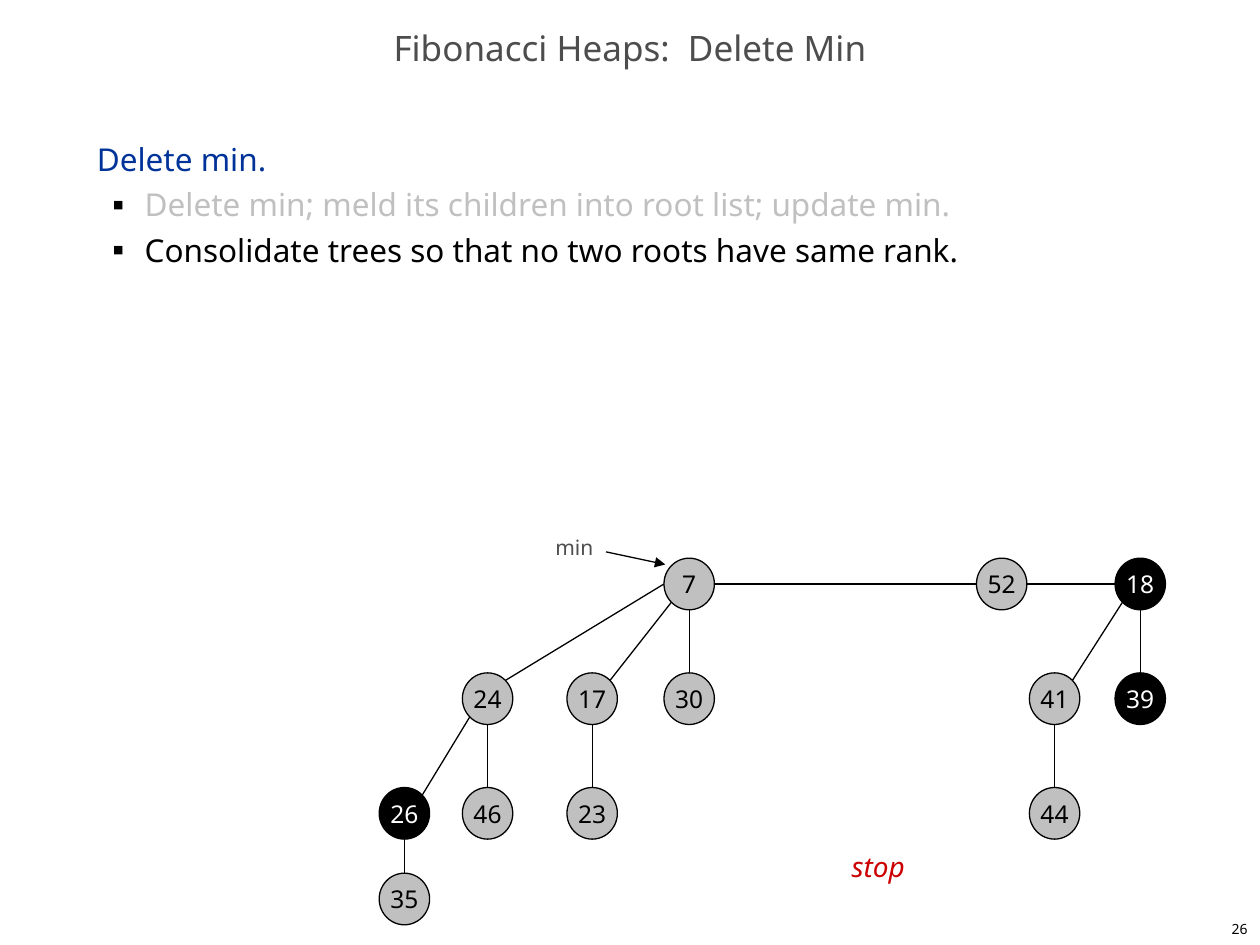
from dataclasses import dataclass
from math import sqrt

from lxml import etree
from pptx import Presentation
from pptx.dml.color import RGBColor
from pptx.enum.shapes import MSO_CONNECTOR, MSO_SHAPE
from pptx.enum.text import MSO_ANCHOR, MSO_AUTO_SIZE, PP_ALIGN
from pptx.oxml.ns import qn
from pptx.util import Inches, Pt

LEFT, CENTER, RIGHT = PP_ALIGN.LEFT, PP_ALIGN.CENTER, PP_ALIGN.RIGHT
TOP, MIDDLE = MSO_ANCHOR.TOP, MSO_ANCHOR.MIDDLE
STRAIGHT, OVAL = MSO_CONNECTOR.STRAIGHT, MSO_SHAPE.OVAL
NO_FIT = MSO_AUTO_SIZE.NONE

BLACK = RGBColor(0x00, 0x00, 0x00)
WHITE = RGBColor(0xFF, 0xFF, 0xFF)
GRAY = RGBColor(0xC0, 0xC0, 0xC0)
DARK = RGBColor(0x4D, 0x4D, 0x4D)
BLUE = RGBColor(0x00, 0x33, 0x99)
RED = RGBColor(0xCC, 0x00, 0x00)
MARK = RGBColor(0x01, 0x00, 0x00)

FONT = "Noto Sans"
WIDE, HIGH = 0.4, 0.41
ROWS = (4.43, 5.34, 6.25, 6.93)
DIAG = sqrt(0.5)

# Points on a node's rim, as offsets from its centre in radii
SITES = {
    "top": (0, -1),
    "left": (-1, 0),
    "bottom": (0, 1),
    "right": (1, 0),
    "top right": (DIAG, -DIAG),
    "bottom left": (-DIAG, DIAG),
}


@dataclass(frozen=True)
class Node:
    key: int
    left: float
    row: int
    marked: bool = False

    def site(self, name: str) -> tuple[float, float]:
        dx, dy = SITES[name]
        return (self.left + WIDE / 2 * (1 + dx),
                ROWS[self.row] + HIGH / 2 * (1 + dy))


@dataclass(frozen=True)
class Edge:
    start: int
    end: int
    leave: str = "bottom"
    enter: str = "top"


NODES = [
    Node(7, 5.27, 0), Node(52, 7.75, 0), Node(18, 8.85, 0, True),
    Node(24, 3.67, 1), Node(17, 4.5, 1), Node(30, 5.27, 1),
    Node(41, 8.17, 1), Node(39, 8.85, 1, True),
    Node(26, 3.01, 2, True), Node(46, 3.67, 2), Node(23, 4.5, 2),
    Node(44, 8.17, 2), Node(35, 3.01, 3),
]
EDGES = [
    Edge(7, 52, "right", "left"), Edge(52, 18, "right", "left"),
    Edge(7, 24, "left", "top right"),
    Edge(7, 17, "bottom left", "top right"), Edge(7, 30),
    Edge(18, 41, "bottom left", "top right"), Edge(18, 39),
    Edge(24, 26, "bottom left", "top right"), Edge(24, 46),
    Edge(17, 23), Edge(41, 44), Edge(26, 35),
]
STEPS = [
    ("Delete min; meld its children into root list; update min.", GRAY),
    ("Consolidate trees so that no two roots have same rank.", BLACK),
]


def write(para, text: str, *, size: float, color=BLACK, align=LEFT,
          italic=False, spacing=None) -> None:
    para.alignment = align
    if spacing is not None:
        para.line_spacing = spacing
    run = para.add_run()
    run.text = text
    font = run.font
    font.name, font.size, font.italic = FONT, Pt(size), italic
    font.color.rgb = color


def set_frame(shape, anchor=TOP, wrap=False):
    frame = shape.text_frame
    frame.auto_size = NO_FIT
    frame.word_wrap = wrap
    frame.vertical_anchor = anchor
    return frame


def add_text(slide, box: tuple, text: str, anchor=TOP, **style) -> None:
    shape = slide.shapes.add_textbox(*map(Inches, box))
    write(set_frame(shape, anchor).paragraphs[0], text, **style)


def add_bullet(para) -> None:
    props = para._p.get_or_add_pPr()
    props.set("marL", str(Inches(0.38)))
    props.set("indent", str(Inches(-0.25)))
    tint = etree.SubElement(props, qn("a:buClr"))
    etree.SubElement(tint, qn("a:srgbClr"), val=str(BLACK))
    etree.SubElement(props, qn("a:buSzPct"), val="35000")
    etree.SubElement(props, qn("a:buFont"), typeface=FONT)
    etree.SubElement(props, qn("a:buChar"), char="■")


def add_line(slide, start: tuple, end: tuple, arrow: bool = False) -> None:
    ends = map(Inches, (*start, *end))
    line = slide.shapes.add_connector(STRAIGHT, *ends)
    line.line.color.rgb = BLACK
    line.line.width = Pt(0.75)
    if arrow:
        etree.SubElement(line.line._get_or_add_ln(), qn("a:tailEnd"),
                         type="triangle")
    etree.SubElement(line._element.spPr, qn("a:effectLst"))


def add_node(slide, node: Node) -> None:
    box = map(Inches, (node.left, ROWS[node.row], WIDE, HIGH))
    shape = slide.shapes.add_shape(OVAL, *box)
    shape.shadow.inherit = False
    shape.fill.solid()
    shape.fill.fore_color.rgb = MARK if node.marked else GRAY
    shape.line.color.rgb = BLACK
    shape.line.width = Pt(0.75)
    write(set_frame(shape, MIDDLE).paragraphs[0], str(node.key), size=14,
          color=WHITE if node.marked else BLACK, align=CENTER)


def add_title(slide) -> None:
    title = slide.shapes.title
    title.left, title.top = Inches(0), Inches(0.17)
    title.width, title.height = Inches(10), Inches(0.5)
    frame = set_frame(title, MIDDLE, wrap=True)
    write(frame.paragraphs[0], "Fibonacci Heaps:  Delete Min", size=20,
          color=DARK, align=CENTER, spacing=0.7)


def add_body(slide) -> None:
    box = map(Inches, (0.67, 1, 8.58, 5.92))
    frame = set_frame(slide.shapes.add_textbox(*box), wrap=True)
    write(frame.paragraphs[0], "Delete min.", size=18, color=BLUE,
          spacing=Pt(26))
    for text, color in STEPS:
        para = frame.add_paragraph()
        para.level = 1
        write(para, text, size=18, color=color, spacing=Pt(26))
        add_bullet(para)


def add_heap(slide) -> None:
    nodes = {node.key: node for node in NODES}
    for edge in EDGES:
        add_line(slide, nodes[edge.start].site(edge.leave),
                 nodes[edge.end].site(edge.enter))
    for node in NODES:
        add_node(slide, node)


def main() -> None:
    deck = Presentation()
    deck.slide_width, deck.slide_height = Inches(10), Inches(7.5)
    slide = deck.slides.add_slide(deck.slide_layouts[5])
    add_title(slide)
    add_body(slide)
    add_heap(slide)
    add_text(slide, (4.31, 4.19, 0.5, 0.3), "min", size=12, color=DARK)
    add_line(slide, (4.81, 4.38), (5.28, 4.48), arrow=True)
    add_text(slide, (6.66, 6.69, 0.62, 0.37), "stop", size=16, color=RED,
             italic=True)
    add_text(slide, (7.92, 7.25, 2.08, 0.25), "26", MIDDLE, size=8,
             align=RIGHT)
    deck.save("out.pptx")


if __name__ == "__main__":
    main()
